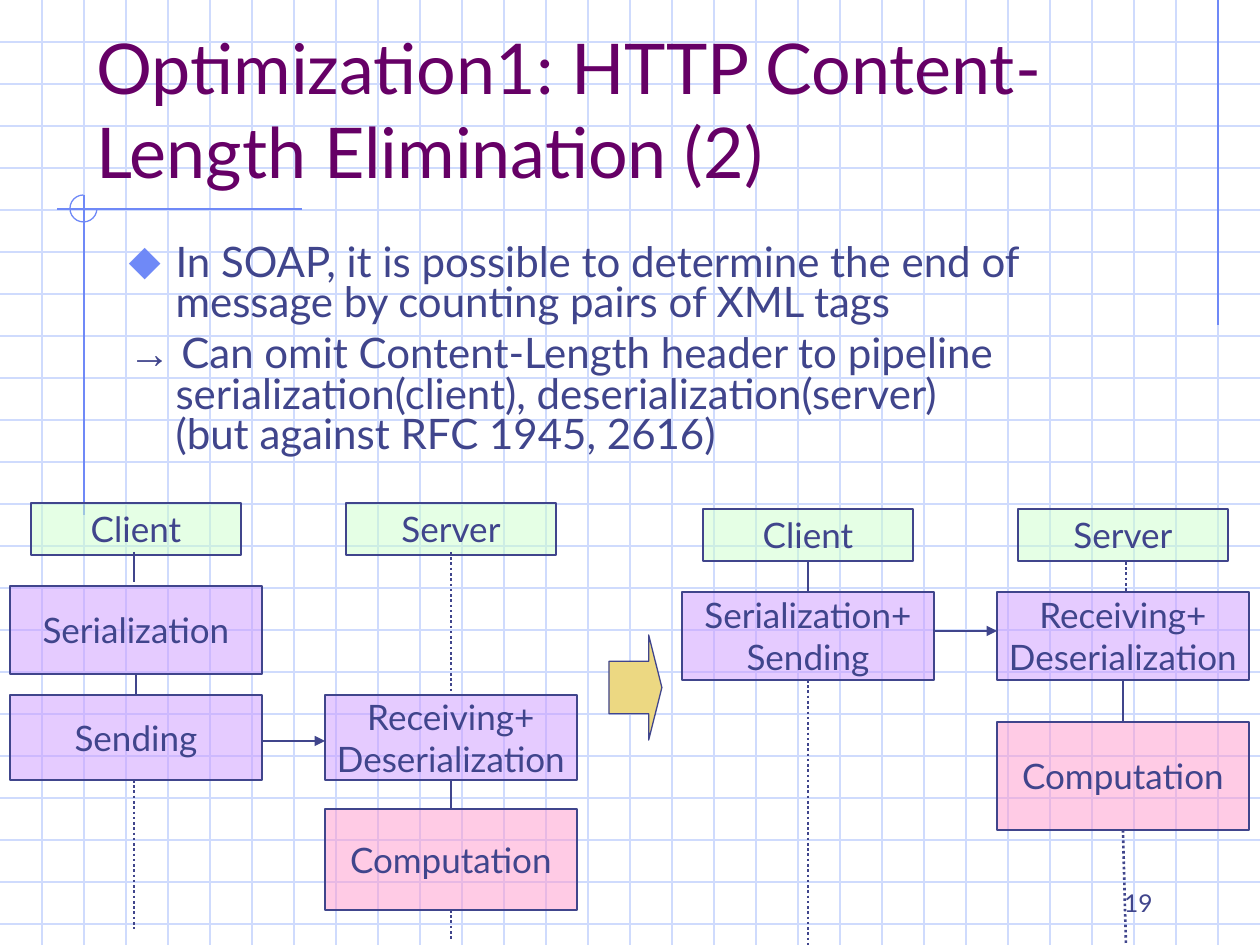
"""Build the slide on eliminating the HTTP Content-Length header."""
from lxml import etree
from pptx import Presentation, util as u
from pptx.dml.color import RGBColor
from pptx.enum import dml, shapes, text
from pptx.oxml.ns import qn

PX = 914400 // 126
WIDTH, HEIGHT, GRID = 1260, 945, 42
THEME = {
    "font": "Lato", "symbol": "Arial",
    "title": "660066", "ink": "40458C", "accent": "6F89F7", "grid": "CFDBFD",
    "head": "CCFFCC", "step": "CC99FF", "work": "FF99CC", "arrow": "ECD882",
    "title_size": 40, "body_size": 24, "box_size": 20, "number_size": 14,
    "thin": 0.75, "thick": 1.5,
}
TITLE = "Optimization1: HTTP Content-Length Elimination (2)"
BODY = [
    [("In SOAP, it is possible to determine the end of message by counting pairs of XML tags", "font")],
    [("→", "symbol"),
     (" Can omit Content-Length header to pipeline serialization(client), "
      "deserialization(server)\v(but against RFC 1945, 2616)", "font")],
]
COLUMNS = [
    (10, 503, "Client", [("Serialization", "step", 586, 88), ("Sending", "step", 695, 85)]),
    (325, 503, "Server", [("Receiving+\vDeserialization", "step", 695, 85), ("Computation", "work", 809, 101)]),
    (682, 509, "Client", [("Serialization+\nSending", "step", 592, 88)]),
    (997, 509, "Server", [("Receiving+\vDeserialization", "step", 592, 88), ("Computation", "work", 722, 108)]),
]
BOX_WIDTH, HEAD_WIDTH, HEAD_HEIGHT = 252, 210, 52
TOP, BOTTOM = 0, 2
LINKS = [
    ((134, 552), (134, 582), "solid"),
    ((0, 1, BOTTOM), (0, 2, TOP), "solid"),
    ((134, 780), (134, 929), "dotted"),
    ((262, 741), (325, 741), "arrow"),
    ((451, 552), (1, 1, TOP), "dotted"),
    ((1, 1, BOTTOM), (1, 2, TOP), "solid"),
    ((1, 2, BOTTOM), (451, 939), "dotted"),
    ((2, 0, BOTTOM), (2, 1, TOP), "solid"),
    ((2, 1, BOTTOM), (808, 945), "dotted"),
    ((934, 631), (997, 631), "arrow"),
    ((1126, 562), (1126, 592), "dotted"),
    ((3, 1, BOTTOM), (3, 2, TOP), "solid"),
    ((3, 2, BOTTOM), (1126, 945), "dotted"),
]
ACCENT_LINES = [((1218, 0), (1218, 325)), ((302, 209), (57, 209)), ((84, 195), (84, 515))]


def px(*values):
    return [u.Emu(value * PX) for value in values]


def color(name):
    return RGBColor.from_string(THEME[name])


def apply(target, values):
    for name, value in values.items():
        setattr(target, name, value)


def style_font(font, size, ink="ink", face="font"):
    apply(font, {"name": THEME[face], "size": u.Pt(THEME[size])})
    font.color.rgb = color(ink)


def style_line(line, ink="ink", width="thin"):
    line.color.rgb = color(ink)
    line.width = u.Pt(THEME[width])


def add_line(parent, start, end, ink, width="thin"):
    line = parent.add_connector(shapes.MSO_CONNECTOR.STRAIGHT, *px(*start, *end))
    style_line(line.line, ink, width)
    etree.SubElement(line._element.spPr, qn("a:effectLst"))
    return line


def add_shape(parent, kind, at, fill=None):
    shape = parent.add_shape(kind, *px(*at))
    shape.shadow.inherit = False
    style_line(shape.line)
    if fill:
        shape.fill.solid()
        shape.fill.fore_color.rgb = color(fill)
    else:
        shape.fill.background()
    return shape


def add_background(slide):
    group = slide.shapes.add_group_shape()
    slide.shapes._spTree.insert(2, group._element)
    for y in range(GRID, HEIGHT, GRID):
        add_line(group.shapes, (0, y), (WIDTH, y), "grid")
    for x in range(GRID, WIDTH, GRID):
        add_line(group.shapes, (x, 0), (x, HEIGHT), "grid")
    for start, end in ACCENT_LINES:
        add_line(group.shapes, start, end, "accent")
    ring = add_shape(group.shapes, shapes.MSO_SHAPE.ARC, (70, 195, 27, 27))
    ring.adjustments[0], ring.adjustments[1] = 0, 162
    style_line(ring.line, "accent")


def place_placeholder(shape, at, anchor):
    apply(shape, dict(zip(("left", "top", "width", "height"), px(*at))))
    apply(shape.text_frame, {"word_wrap": True, "auto_size": text.MSO_AUTO_SIZE.NONE,
                             "vertical_anchor": anchor})


def fill_title(shape):
    place_placeholder(shape, (84, 42, 1071, 157), text.MSO_ANCHOR.BOTTOM)
    shape.text_frame.text = TITLE
    paragraph = shape.text_frame.paragraphs[0]
    paragraph.alignment = text.PP_ALIGN.LEFT
    style_font(paragraph.runs[0].font, "title_size", "title")


def set_bullet(paragraph, marked):
    properties = paragraph._p.get_or_add_pPr()
    apply_indent = {"marL": 47 * PX, "indent": -47 * PX}
    for name, value in apply_indent.items():
        properties.set(name, str(value))
    if not marked:
        etree.SubElement(properties, qn("a:buNone"))
        return
    bullet_color = etree.SubElement(properties, qn("a:buClr"))
    etree.SubElement(bullet_color, qn("a:srgbClr"), val=THEME["accent"])
    etree.SubElement(properties, qn("a:buSzPct"), val="110000")
    etree.SubElement(properties, qn("a:buFont"), typeface=THEME["symbol"])
    etree.SubElement(properties, qn("a:buChar"), char="⬥")


def fill_body(shape):
    place_placeholder(shape, (116, 239, 1071, 243), text.MSO_ANCHOR.TOP)
    frame = shape.text_frame
    for index, pieces in enumerate(BODY):
        paragraph = frame.add_paragraph() if index else frame.paragraphs[0]
        set_bullet(paragraph, marked=index == 0)
        apply(paragraph, {"line_spacing": 0.8, "space_before": u.Pt(6 if index else 0)})
        for words, face in pieces:
            for part, line in enumerate(words.split("\v")):
                if part:
                    paragraph.add_line_break()
                run = paragraph.add_run()
                run.text = line
                style_font(run.font, "body_size", face=face)


def add_box(slide, words, fill, at):
    box = add_shape(slide.shapes, shapes.MSO_SHAPE.RECTANGLE, at, fill)
    tint = box._element.spPr.find(qn("a:solidFill"))[0]
    etree.SubElement(tint, qn("a:alpha"), val="50000")
    apply(box.text_frame, {"text": words, "word_wrap": False,
                           "vertical_anchor": text.MSO_ANCHOR.MIDDLE})
    for paragraph in box.text_frame.paragraphs:
        paragraph.alignment = text.PP_ALIGN.CENTER
        for run in paragraph.runs:
            style_font(run.font, "box_size")
    return box


def add_columns(slide):
    inset = (BOX_WIDTH - HEAD_WIDTH) // 2
    columns = []
    for left, top, name, steps in COLUMNS:
        head = add_box(slide, name, "head", (left + inset, top, HEAD_WIDTH, HEAD_HEIGHT))
        columns.append([head] + [add_box(slide, words, fill, (left, y, BOX_WIDTH, height))
                                 for words, fill, y, height in steps])
    return columns


def add_links(slide, columns):
    for start, end, style in LINKS:
        points = [point if len(point) == 2 else (0, 0) for point in (start, end)]
        line = add_line(slide.shapes, *points, "ink", "thick")
        for point, connect in ((start, line.begin_connect), (end, line.end_connect)):
            if len(point) == 3:
                column, row, side = point
                connect(columns[column][row], side)
        if style == "dotted":
            line.line.dash_style = dml.MSO_LINE.ROUND_DOT
        elif style == "arrow":
            etree.SubElement(line.line._get_or_add_ln(), qn("a:tailEnd"), type="triangle")


def add_number(slide):
    frame = slide.shapes.add_textbox(*px(903, 861, 262, 63)).text_frame
    apply(frame, {"text": "19", "word_wrap": True, "vertical_anchor": text.MSO_ANCHOR.BOTTOM})
    frame.paragraphs[0].alignment = text.PP_ALIGN.RIGHT
    style_font(frame.paragraphs[0].runs[0].font, "number_size")


def main():
    presentation = Presentation()
    apply(presentation, dict(zip(("slide_width", "slide_height"), (u.Inches(10), u.Inches(7.5)))))
    slide = presentation.slides.add_slide(presentation.slide_layouts[1])
    add_background(slide)
    fill_title(slide.shapes.title)
    fill_body(slide.placeholders[1])
    add_links(slide, add_columns(slide))
    arrow = add_shape(slide.shapes, shapes.MSO_SHAPE.RIGHT_ARROW, (609, 635, 53, 105), "arrow")
    arrow.adjustments[0], arrow.adjustments[1] = 0.5, 0.25
    add_number(slide)
    presentation.save("out.pptx")


if __name__ == "__main__":
    main()
